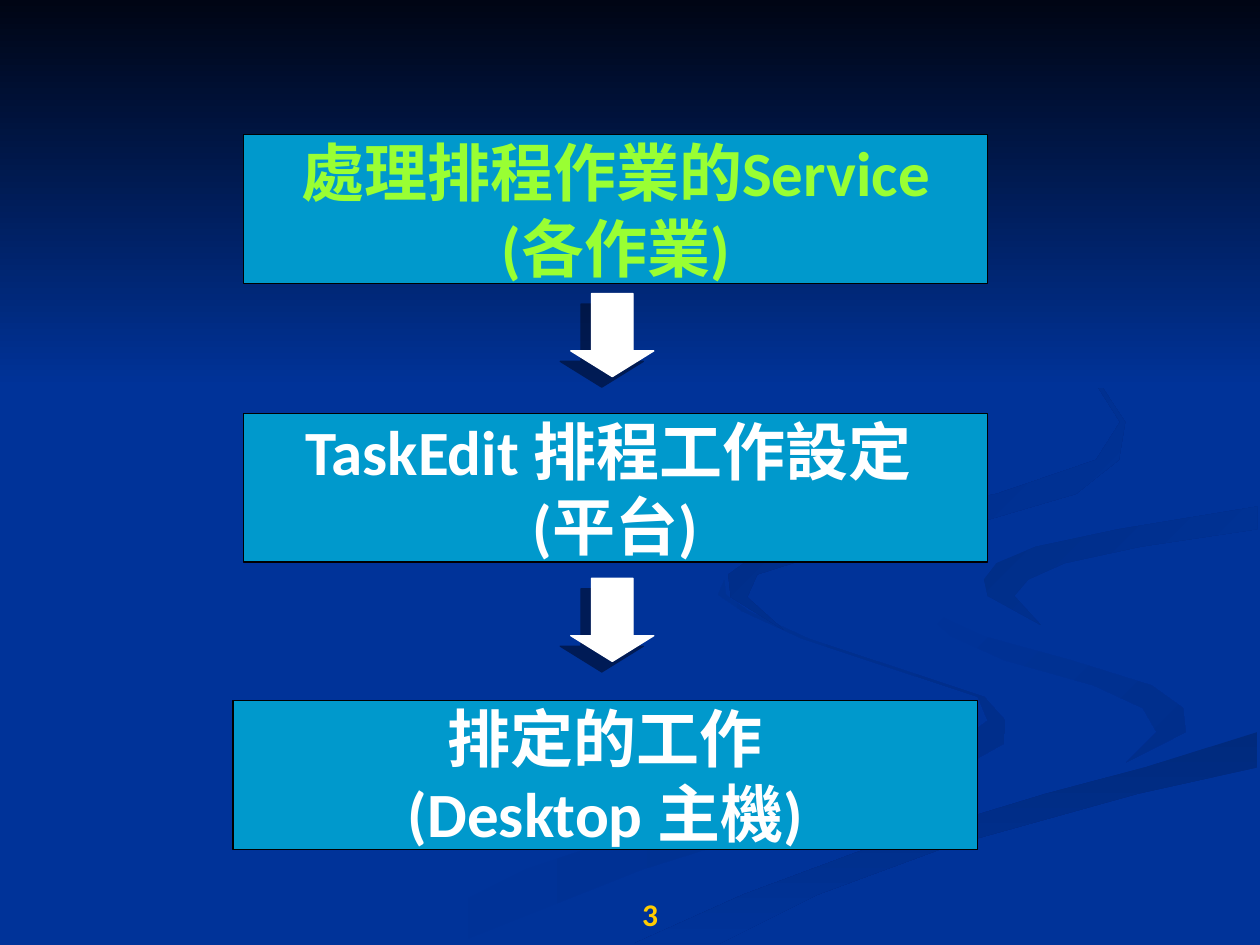
"""Build a slide with a three-step scheduling flow on a blue swirl background."""
from lxml import etree
from pptx import Presentation, util as u
from pptx.dml.color import RGBColor
from pptx.enum import shapes, text
from pptx.oxml.ns import qn

BLUE, NIGHT, WHITE = "003399", "000514", "FFFFFF"
SWIRLS = [
    {"colors": (BLUE, "002E8B"), "angle": 0, "spans": [
        (4.6, 5.75, 5.75), (4.72, 5.7, 5.76), (4.85, 5.89, 5.94), (5.07, 6.37, 6.42),
        (5.53, 7.76, 7.81), (5.72, 7.84, 7.98), (5.9, 7.59, 7.97), (6.13, 6.84, 7.56),
        (6.49, 5.39, 6.4), (6.9, 4.17, 5.1), (7.49, 3, 3.61)]},
    {"colors": (BLUE, "002E8B"), "angle": 45, "spans": [
        (4.64, 7.24, 7.24), (4.83, 7.3, 7.33), (5.05, 7.55, 7.81), (5.24, 7.97, 8.5),
        (5.44, 8.68, 9.14), (5.62, 9.07, 9.39), (5.81, 9.18, 9.41), (6.05, 8.94, 8.94)]},
    {"colors": ("002A7D", BLUE), "angle": 90, "spans": [
        (5.81, 9.98, 9.98), (6.09, 9.09, 9.98), (6.3, 8.3, 9.03), (6.72, 6.92, 7.52),
        (7.1, 5.9, 6.49), (7.49, 5.03, 5.71)]},
    {"colors": ("002D86", BLUE), "angle": 45, "spans": [
        (4.02, 9.98, 9.98), (4.2, 8.88, 9.98), (4.34, 8.22, 9.05), (4.47, 7.91, 8.45),
        (4.6, 7.81, 8.16), (4.73, 7.84, 8.05), (4.96, 8.26, 8.26)]},
    {"colors": ("002B82", BLUE), "angle": 45, "spans": [
        (2.33, 7.62, 7.62), (2.56, 8.08, 8.1), (2.91, 8.61, 8.64), (3.35, 8.89, 8.93),
        (3.65, 8.7, 8.88), (3.92, 7.91, 8.54), (4.12, 6.9, 7.86), (4.3, 6.14, 6.83),
        (4.56, 5.78, 6.01), (4.74, 5.8, 5.93), (5, 6.22, 6.22)]},
]
SKY = (0, 0, 10, 3.08)
STEPS = [
    (1.93, 1.07, "99FF33", ["處理排程作業的Service", "(各作業)"]),
    (1.93, 3.28, WHITE, ["TaskEdit 排程工作設定 ", "(平台)"]),
    (1.85, 5.56, WHITE, ["排定的工作", "(Desktop 主機)"]),
]
STEP_SIZE = (5.91, 1.18)
ARROWS = [(4.53, 2.33), (4.53, 4.59)]
ARROW_SIZE = (0.66, 0.66)
PAGE_NUMBER = (4.44, 6.93, 0.88, 0.52)


def color(value):
    return RGBColor.from_string(value)


def inches(*values):
    return [u.Inches(value) for value in values]


def paint(shape, fill, line):
    shape.shadow.inherit = False
    shape.fill.solid()
    shape.fill.fore_color.rgb = color(fill)
    shape.line.color.rgb = color(line)
    shape.line.width = u.Pt(0.75)


def blend(shape, colors, angle):
    shape.shadow.inherit = False
    shape.line.fill.background()
    shape.fill.gradient()
    shape.fill.gradient_angle = -angle % 360
    for position, (stop, value) in enumerate(zip(shape.fill.gradient_stops, colors)):
        stop.color.rgb = color(value)
        stop.position = position


def add_swirl(page, colors, angle, spans):
    left_edge = [inches(left, y) for y, left, right in spans]
    right_edge = [inches(right, y) for y, left, right in spans]
    points = left_edge + right_edge[::-1]
    builder = page.shapes.build_freeform(*points[0])
    builder.add_line_segments(points[1:], close=True)
    blend(builder.convert_to_shape(), colors, angle)


def write(shape, lines, size, value, align, anchor, wrap):
    frame = shape.text_frame
    frame.word_wrap = wrap
    frame.vertical_anchor = anchor
    frame.text = "\n".join(lines)
    for para in frame.paragraphs:
        para.alignment = align
        span = para.runs[0]
        for name, setting in {"name": "Calibri", "size": u.Pt(size), "bold": True}.items():
            setattr(span.font, name, setting)
        span.font.color.rgb = color(value)


def add_arrow(page, left, top):
    arrow = page.shapes.add_shape(
        shapes.MSO_SHAPE.DOWN_ARROW, *inches(left, top, *ARROW_SIZE))
    arrow.adjustments[1] = 0.31
    paint(arrow, WHITE, WHITE)
    effects = arrow._element.spPr.find(qn("a:effectLst"))
    shadow = etree.SubElement(effects, qn("a:outerShdw"), blurRad="0",
                              dist=str(u.Pt(8.5)), dir=str(135 * 60000))
    tint = etree.SubElement(shadow, qn("a:srgbClr"), val=NIGHT)
    etree.SubElement(tint, qn("a:alpha"), val="50000")


def main():
    deck = Presentation()
    deck.slide_width, deck.slide_height = inches(10, 7.5)
    page = deck.slides.add_slide(deck.slide_layouts[6])
    page.background.fill.solid()
    page.background.fill.fore_color.rgb = color(BLUE)
    for swirl in SWIRLS:
        add_swirl(page, **swirl)
    sky = page.shapes.add_shape(shapes.MSO_SHAPE.RECTANGLE, *inches(*SKY))
    blend(sky, (NIGHT, BLUE), 90)
    number = page.shapes.add_textbox(*inches(*PAGE_NUMBER))
    write(number, ["3"], 18, "FFCC00", text.PP_ALIGN.RIGHT, text.MSO_ANCHOR.BOTTOM, True)
    for left, top, value, lines in STEPS:
        box = page.shapes.add_shape(
            shapes.MSO_SHAPE.RECTANGLE, *inches(left, top, *STEP_SIZE))
        paint(box, "0099CC", "000000")
        write(box, lines, 36, value, text.PP_ALIGN.CENTER, text.MSO_ANCHOR.MIDDLE, False)
    for place in ARROWS:
        add_arrow(page, *place)
    deck.save("out.pptx")


if __name__ == "__main__":
    main()
